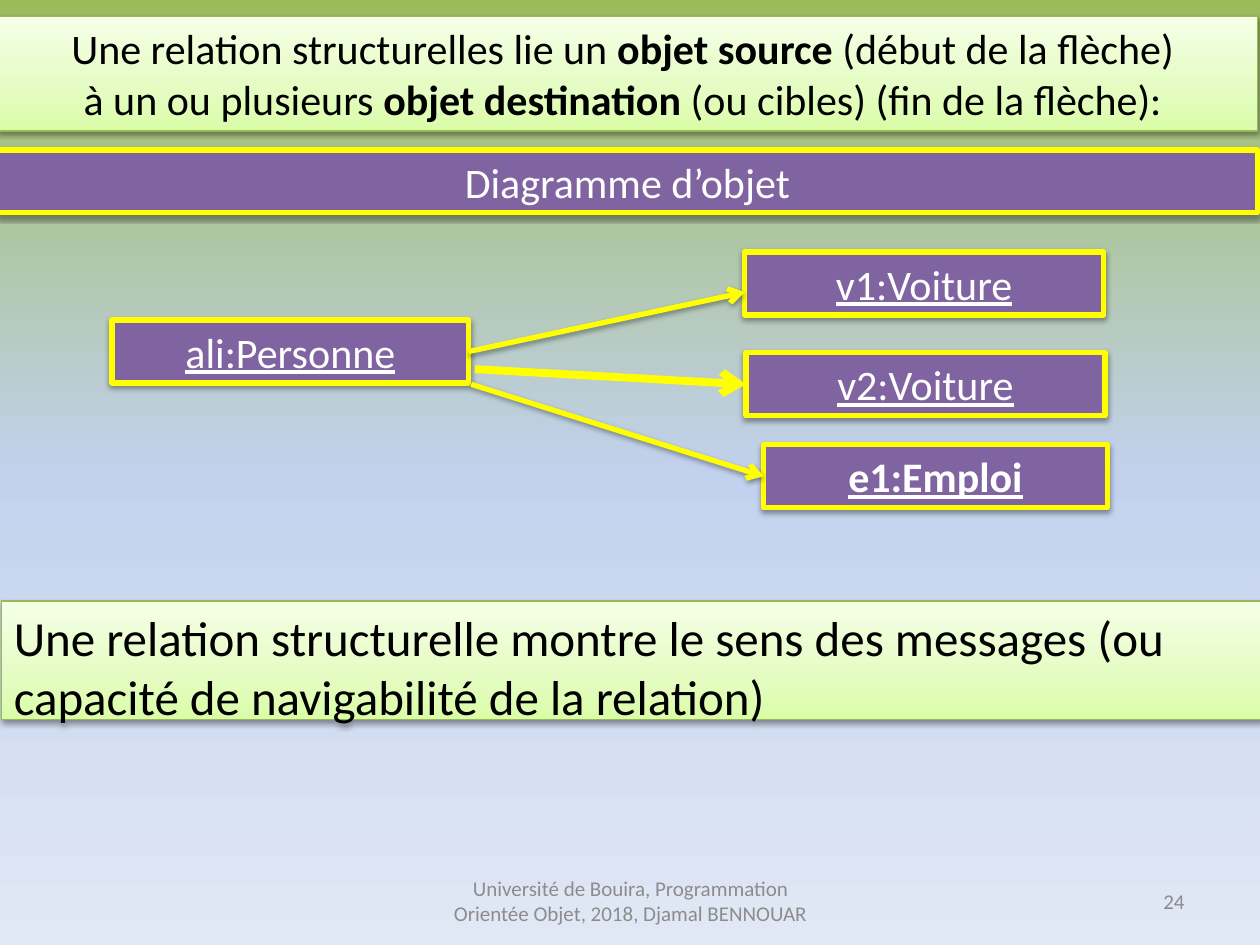
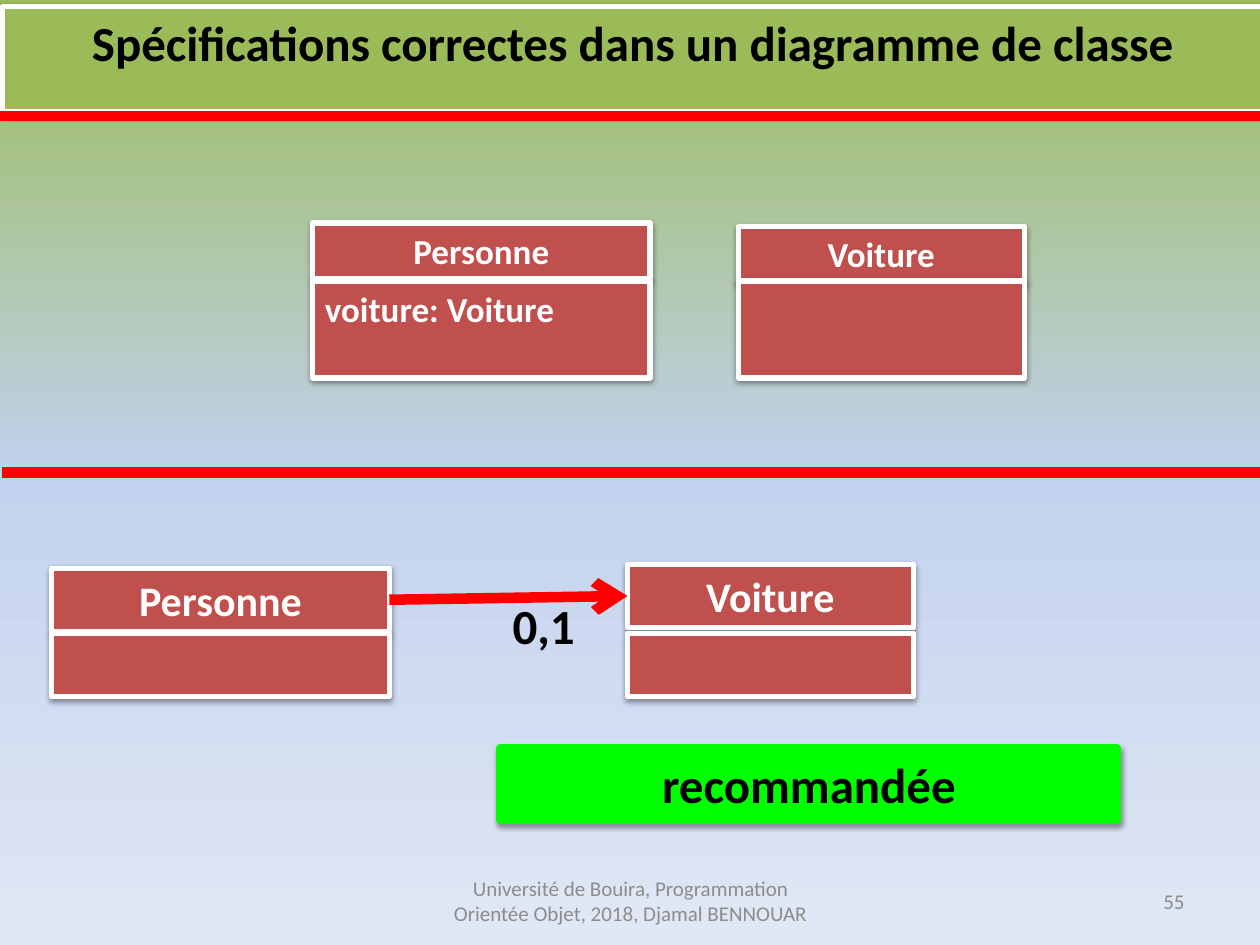
from dataclasses import dataclass

from lxml.etree import SubElement
from pptx import Presentation
from pptx.dml.color import RGBColor
from pptx.enum.shapes import MSO_CONNECTOR as CONNECTOR, MSO_SHAPE as SHAPE
from pptx.enum.text import MSO_ANCHOR as ANCHOR, MSO_AUTO_SIZE as AUTO_SIZE, PP_ALIGN as ALIGN
from pptx.oxml.ns import qn
from pptx.util import Inches, Pt

# The slide is a grid of 100 columns by 75 rows.
W, H = Inches(10), Inches(7.5)
COL, ROW = W / 100, H / 75
LEFT_SIDE, RIGHT_SIDE = 1, 3

FONT = "Calibri"
BLACK = RGBColor(0x00, 0x00, 0x00)
WHITE = RGBColor(0xFF, 0xFF, 0xFF)
GREY = RGBColor(0x8C, 0x8C, 0x8C)
YELLOW = RGBColor(0xFF, 0xFF, 0x00)
PURPLE = RGBColor(0x80, 0x64, 0xA2)
RED = RGBColor(0xFF, 0x00, 0x00)
BRICK = RGBColor(0xC0, 0x50, 0x4D)
LIME = RGBColor(0x00, 0xFF, 0x00)
OLIVE = RGBColor(0x9B, 0xBB, 0x59)
OLIVE_EDGE = RGBColor(0x98, 0xB9, 0x55)
SKY = RGBColor(0xC2, 0xD1, 0xED)
MIST = RGBColor(0xE1, 0xE8, 0xF5)
PALE_GREENS = [(0, RGBColor(0xDA, 0xFD, 0xA7)), (35, RGBColor(0xE4, 0xFC, 0xC2)),
               (100, RGBColor(0xF5, 0xFF, 0xE7))]
BACKDROP = [(0, OLIVE), (50, SKY), (100, MIST)]
FOOTER = "Université de Bouira, Programmation Orientée Objet, 2018, Djamal BENNOUAR"


@dataclass
class Box:
    """An area in grid columns and rows."""
    x: float
    y: float
    w: float
    h: float

    def area(self, x, y, w, h):
        return Box(self.x + x, self.y + y, w, h)

    def point(self, x, y):
        return round((self.x + x) * COL), round((self.y + y) * ROW)

    def emu(self):
        return (*self.point(0, 0), round(self.w * COL), round(self.h * ROW))


PAGE = Box(0, 0, 100, 75)


def set_gradient(fill, element, stops, angle):
    fill.gradient()
    fill.gradient_angle = angle
    gs_list = element.find(".//" + qn("a:gsLst"))
    for gs in list(gs_list):
        gs_list.remove(gs)
    for share, color in stops:
        gs = SubElement(gs_list, qn("a:gs"), pos=str(share * 1000))
        SubElement(gs, qn("a:srgbClr"), val=str(color))


def add_shadow(effects):
    shadow = SubElement(effects, qn("a:outerShdw"), blurRad="40000", dist="20000",
                        dir="5400000", rotWithShape="0")
    color = SubElement(shadow, qn("a:srgbClr"), val=str(BLACK))
    SubElement(color, qn("a:alpha"), val="38000")


def write(tf, lines, size, color, align=ALIGN.CENTER, underline=None,
          anchor=ANCHOR.TOP, auto_size=AUTO_SIZE.SHAPE_TO_FIT_TEXT):
    """Fill a text frame; each line is a list of (text, bold) runs."""
    tf.word_wrap = True
    tf.auto_size = auto_size
    tf.vertical_anchor = anchor
    for i, runs in enumerate(lines):
        p = tf.add_paragraph() if i else tf.paragraphs[0]
        p.alignment = align
        p.space_before = Pt(0)
        for text, bold in runs:
            r = p.add_run()
            r.text = text
            r.font.name, r.font.size = FONT, Pt(size)
            r.font.bold, r.font.underline = bold, underline
            r.font.color.rgb = color


def style(sp, fill, line, width):
    """Give a shape its fill (a colour or gradient stops), outline and shadow."""
    if isinstance(fill, list):
        set_gradient(sp.fill, sp._element, fill, 90)
    else:
        sp.fill.solid()
        sp.fill.fore_color.rgb = fill
    sp.line.color.rgb = line
    sp.line.width = Pt(width)
    sp.shadow.inherit = False
    add_shadow(sp._element.spPr.find(qn("a:effectLst")))


def add_panel(slide, box, fill, line, width=3):
    sp = slide.shapes.add_shape(SHAPE.RECTANGLE, *box.emu())
    style(sp, fill, line, width)
    return sp


def set_banner(sp, box, fill, line, width):
    """Turn a placeholder into a full-width band."""
    sp.left, sp.top, sp.width, sp.height = box.emu()
    style(sp, fill, line, width)
    return sp.text_frame


def add_text(slide, box, text, size, color, bold=False, **layout):
    tf = slide.shapes.add_textbox(*box.emu()).text_frame
    write(tf, [[(text, bold)]], size, color, **layout)


def add_line(slide, start, end, color, width, arrow=False, shadow=False):
    c = slide.shapes.add_connector(CONNECTOR.STRAIGHT, *start, *end)
    c.line.color.rgb = color
    c.line.width = Pt(width)
    spPr = c._element.spPr
    if arrow:
        SubElement(spPr.find(qn("a:ln")), qn("a:tailEnd"), type="arrow")
    effects = SubElement(spPr, qn("a:effectLst"))
    if shadow:
        add_shadow(effects)
    return c


def new_slide(prs, layout, number):
    slide = prs.slides.add_slide(prs.slide_layouts[layout])
    set_gradient(slide.background.fill, slide._element, BACKDROP, 270)
    small = dict(size=12, color=GREY, anchor=ANCHOR.MIDDLE, auto_size=AUTO_SIZE.NONE)
    add_text(slide, PAGE.area(34.2, 69.5, 31.7, 4), FOOTER, **small)
    add_text(slide, PAGE.area(71.7, 69.5, 23.3, 4), number, align=ALIGN.RIGHT, **small)
    return slide


def add_object(slide, box, name, bold=False):
    sp = add_panel(slide, box, PURPLE, YELLOW)
    write(sp.text_frame, [[(name, bold)]], 24, WHITE, underline=True)
    return sp


def object_diagram(slide, box):
    heading = add_panel(slide, box.area(0, 0, 100, 5), PURPLE, YELLOW)
    write(heading.text_frame, [[("Diagramme d’objet", False)]], 24, WHITE)

    ali = add_object(slide, box.area(9.1, 13.5, 28.3, 5), "ali:Personne")
    add_object(slide, box.area(59.3, 8.1, 28.5, 5), "v1:Voiture")
    v2 = add_object(slide, box.area(59.4, 16.1, 28.5, 5), "v2:Voiture")
    e1 = add_object(slide, box.area(60.8, 23.4, 27.3, 5), "e1:Emploi", bold=True)

    to_v1 = add_line(slide, box.point(37.4, 16), box.point(59.3, 11.3), YELLOW, 3, True, True)
    to_v1.begin_connect(ali, RIGHT_SIDE)
    to_v2 = add_line(slide, box.point(37.9, 17.4), box.point(59.4, 18.6), YELLOW, 4.5, True)
    to_v2.end_connect(v2, LEFT_SIDE)
    to_e1 = add_line(slide, box.point(37.6, 18.6), box.point(60.8, 25.9), YELLOW, 3, True, True)
    to_e1.end_connect(e1, LEFT_SIDE)


def relation_slide(prs):
    slide = new_slide(prs, 1, "24")
    title, body = slide.placeholders
    tf = set_banner(title, PAGE.area(-0.2, 1.3, 100, 9.1), PALE_GREENS, OLIVE_EDGE, 0.75)
    write(tf, [
        [("Une relation structurelles lie un ", False), ("objet source", True),
         (" (début de la flèche) ", False)],
        [("à un ou plusieurs ", False), ("objet destination", True),
         (" (ou cibles) (fin de la flèche): ", False)],
    ], 24, BLACK)

    tf = set_banner(body, PAGE.area(0.1, 47.7, 100, 10.4), PALE_GREENS, OLIVE_EDGE, 0.75)
    pPr = tf.paragraphs[0]._p.get_or_add_pPr()
    pPr.set("marL", "0")
    pPr.set("indent", "0")
    SubElement(pPr, qn("a:buNone"))
    write(tf, [[("Une relation structurelle montre le sens des messages "
                 "(ou capacité de navigabilité de la relation)", False)]],
          28, BLACK, ALIGN.LEFT)

    object_diagram(slide, PAGE.area(-0.2, 11.9, 100, 28.4))


def add_class(slide, box, name, size, head, body_top, attribute=None):
    """Draw a class: a name panel `head` rows high, then its attributes panel."""
    title = add_panel(slide, box.area(0, 0, box.w, head), BRICK, WHITE)
    write(title.text_frame, [[(name, True)]], size, WHITE)
    body = add_panel(slide, box.area(0, body_top, box.w, box.h - body_top), BRICK, WHITE)
    if attribute:
        write(body.text_frame, [[(attribute, True)]], size, WHITE, ALIGN.LEFT,
              auto_size=AUTO_SIZE.NONE)
    return title


def attribute_version(slide, box):
    add_class(slide, box.area(0, 0, 26.8, 12.3), "Personne", 20, 4.4, 4.6, "voiture: Voiture")
    add_class(slide, box.area(33.8, 0.3, 22.7, 12), "Voiture", 20, 4.4, 4.3)


def association_version(slide, box):
    person = add_class(slide, box.area(0, 0.3, 26.8, 10.2), "Personne", 24, 5, 5.2)
    car = add_class(slide, box.area(45.7, 0, 22.7, 10.5), "Voiture", 24, 5, 5.5)
    link = add_line(slide, box.point(26.8, 2.8), box.point(45.7, 2.5), RED, 6, arrow=True)
    link.begin_connect(person, RIGHT_SIDE)
    link.end_connect(car, LEFT_SIDE)
    add_text(slide, box.area(35.6, 2, 14.9, 5.7), "0,1", 28, BLACK, True, align=ALIGN.LEFT)
    verdict = add_panel(slide, box.area(35.6, 14.6, 49, 5.7), LIME, LIME, 4.5)
    write(verdict.text_frame, [[("recommandée", True)]], 28, BLACK)


def specification_slide(prs):
    slide = new_slide(prs, 5, "55")
    tf = set_banner(slide.shapes.title, PAGE.area(0.2, 0.5, 100, 5.7), OLIVE, WHITE, 3)
    write(tf, [[("Spécifications correctes dans un diagramme de classe", True)]], 28, BLACK)
    attribute_version(slide, PAGE.area(24.8, 17.7, 56.5, 12.3))
    association_version(slide, PAGE.area(4.1, 44.8, 84.6, 20.3))
    for x, y in ((0, 9.2), (0.2, 37.5)):
        add_line(slide, PAGE.point(x, y), PAGE.point(x + 100, y), RED, 6)


def main():
    prs = Presentation()
    prs.slide_width, prs.slide_height = W, H
    relation_slide(prs)
    specification_slide(prs)
    prs.save("out.pptx")


if __name__ == "__main__":
    main()
